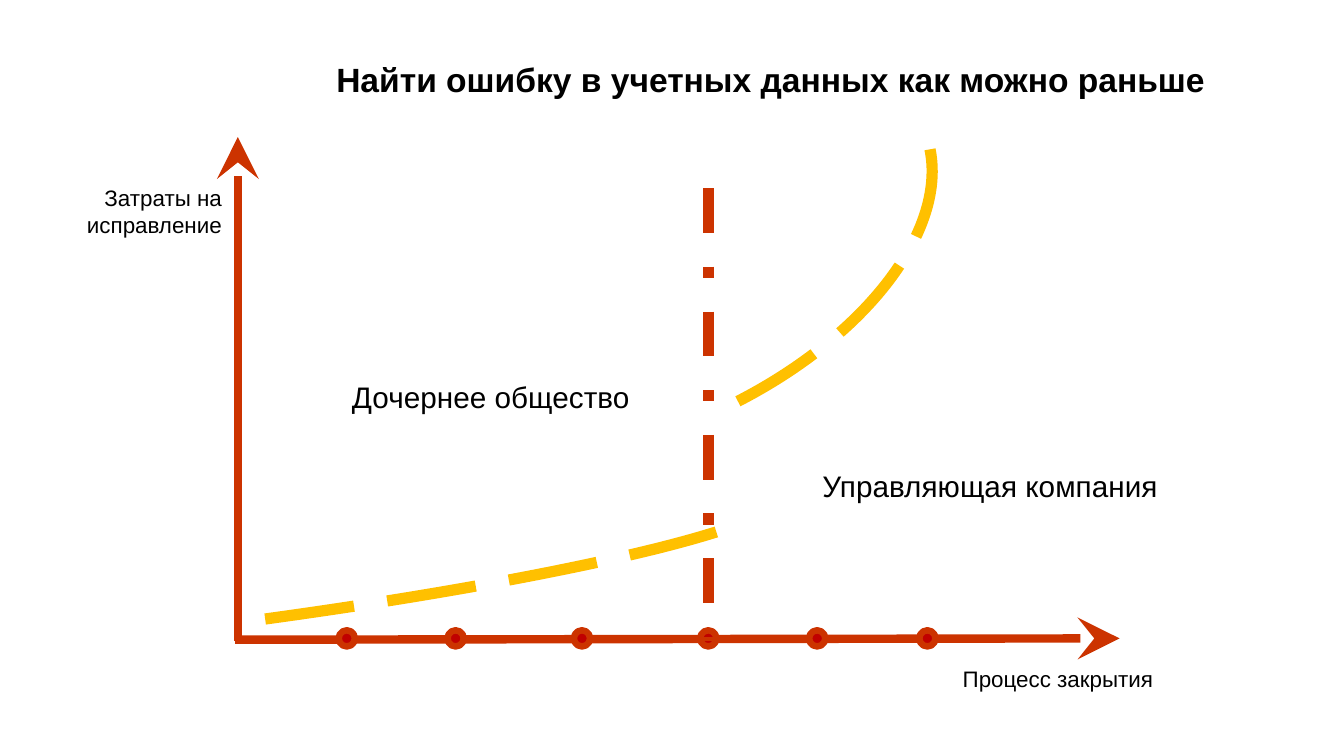
from lxml import etree
from pptx import Presentation
from pptx import util as u
from pptx.dml.color import RGBColor
from pptx.enum import dml, shapes, text
from pptx.oxml.ns import qn

BLACK = RGBColor(0x00, 0x00, 0x00)
RUST = RGBColor(0xCC, 0x33, 0x00)
CRIMSON = RGBColor(0xC0, 0x00, 0x00)
AMBER = RGBColor(0xFF, 0xC0, 0x00)


def write(box, wording, align, **font_format):
    paragraph = box.text_frame.paragraphs[0]
    paragraph.alignment = align
    run = paragraph.add_run()
    run.text = wording
    run.font.color.rgb = BLACK
    for key, value in {"name": "Arial", "bold": False, **font_format}.items():
        setattr(run.font, key, value)


def draw_line(start, end, width, dash=None, arrow=False):
    points = [u.Inches(value) for value in (*start, *end)]
    connector = slide.shapes.add_connector(shapes.MSO_CONNECTOR.STRAIGHT, *points)
    connector.line.color.rgb = RUST
    connector.line.width = u.Pt(width)
    if dash:
        connector.line.dash_style = dash
    if arrow:
        etree.SubElement(connector.line._get_or_add_ln(), qn("a:tailEnd"),
                         type="stealth", w="lg", len="lg")
    etree.SubElement(connector._element.spPr, qn("a:effectLst"))


deck = Presentation()
deck.slide_width = u.Inches(10)
deck.slide_height = u.Inches(10) * 9 // 16
slide = deck.slides.add_slide(deck.slide_layouts[5])

heading = slide.shapes.title
place = {"left": 1.82, "top": 0.17, "width": 7.83, "height": 0.83}
for key, value in place.items():
    setattr(heading, key, u.Inches(value))
frame_format = {
    "vertical_anchor": text.MSO_ANCHOR.MIDDLE,
    "word_wrap": True,
    "auto_size": text.MSO_AUTO_SIZE.NONE,
}
for key, value in frame_format.items():
    setattr(heading.text_frame, key, value)
write(heading, "Найти ошибку в учетных данных как можно раньше",
      text.PP_ALIGN.CENTER, size=u.Pt(18), bold=True)

draw_line((1.77, 4.77), (1.77, 1.02), 4.5, arrow=True)
draw_line((1.75, 4.76), (8.33, 4.75), 4.5, arrow=True)

for milestone_left in (2.52, 3.33, 4.27, 5.21, 6.02, 6.84):
    milestone = slide.shapes.add_shape(
        shapes.MSO_SHAPE.OVAL, u.Inches(milestone_left), u.Inches(4.69),
        u.Inches(0.12), u.Inches(0.12))
    milestone.shadow.inherit = False
    milestone.fill.solid()
    milestone.fill.fore_color.rgb = CRIMSON
    milestone.line.color.rgb = RUST
    milestone.line.width = u.Pt(3.5)

draw_line((5.27, 1.4), (5.27, 4.77), 6, dash=dml.MSO_LINE.DASH_DOT)

cost_curves = [
    ((1.32, 0.16, 0.76, 8.2), 82.5, 163.654),
    ((3.45, -0.42, 2.6, 4.64), 66.1, 164.351),
]
for bounds, rotation, arc_start in cost_curves:
    curve = slide.shapes.add_shape(shapes.MSO_SHAPE.ARC, *map(u.Inches, bounds))
    curve.rotation = rotation
    curve.adjustments[0] = arc_start
    curve.adjustments[1] = 215.192
    curve.shadow.inherit = False
    curve.fill.background()
    curve.line.color.rgb = AMBER
    curve.line.width = u.Pt(6)
    curve.line.dash_style = dml.MSO_LINE.LONG_DASH

LEFT, RIGHT = text.PP_ALIGN.LEFT, text.PP_ALIGN.RIGHT
captions = [
    ("Процесс закрытия", (7.05, 4.9, 1.63, 0.3), RIGHT, 12, True),
    ("Затраты на исправление", (0.36, 1.32, 1.39, 0.5), RIGHT, 12, True),
    ("Дочернее общество", (2.52, 2.77, 2.28, 0.37), LEFT, 15.9, False),
    ("Управляющая компания", (6.02, 3.43, 2.71, 0.37), LEFT, 15.9, False),
]
for wording, bounds, align, size, wrap in captions:
    caption = slide.shapes.add_textbox(*map(u.Inches, bounds))
    caption.text_frame.word_wrap = wrap
    caption.text_frame.auto_size = text.MSO_AUTO_SIZE.SHAPE_TO_FIT_TEXT
    write(caption, wording, align, size=u.Pt(size))

deck.save("out.pptx")
